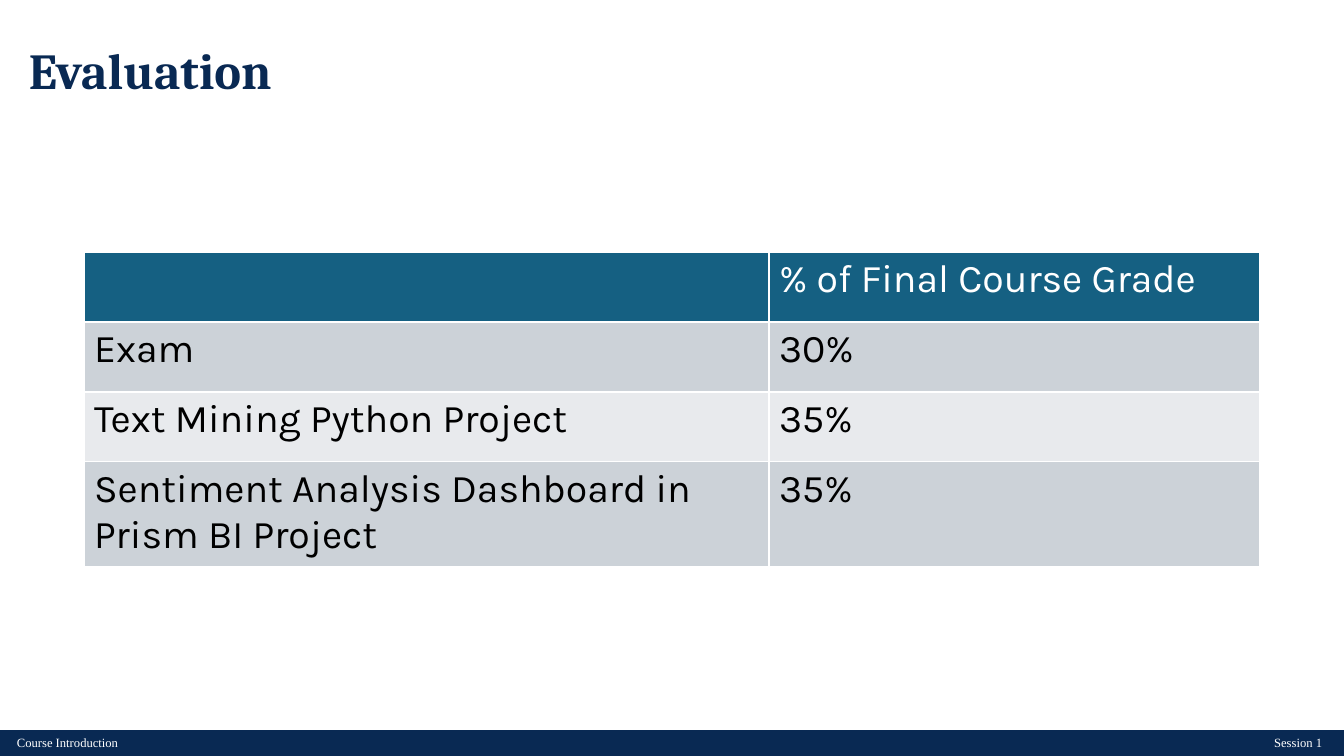
from lxml.etree import SubElement as Sub
from pptx import Presentation
from pptx.dml.color import RGBColor
from pptx.enum.shapes import MSO_SHAPE as Shape
from pptx.enum.text import MSO_ANCHOR as Anchor, PP_ALIGN as Align
from pptx.oxml.ns import qn
from pptx.util import Emu, Pt

NAVY = RGBColor(0x09, 0x29, 0x53)
TEAL = RGBColor(0x15, 0x60, 0x82)
GREY = RGBColor(0xCC, 0xD2, 0xD8)
PALE = RGBColor(0xE8, 0xEA, 0xED)
WHITE = RGBColor(0xFF, 0xFF, 0xFF)
BLACK = RGBColor(0, 0, 0)


def px(n):
    return Emu(round(n * 12192000 / 1344))


def style(para, face, size, color, bold=False):
    for run in para.runs:
        font = run.font
        font.name, font.size, font.bold = face, Pt(size), bold
        font.color.rgb = color


prs = Presentation()
prs.slide_width, prs.slide_height = px(1344), px(756)
slide = prs.slides.add_slide(prs.slide_layouts[6])
shapes = slide.shapes

title = shapes.add_textbox(px(19), px(0), px(1159), px(146)).text_frame
title.word_wrap = True
title.vertical_anchor = Anchor.MIDDLE
head = title.paragraphs[0]
head.text = "Evaluation"
head.line_spacing = 0.9
style(head, "Cambria", 36, NAVY, True)

bar = shapes.add_shape(Shape.RECTANGLE, px(0), px(731), px(1344), px(25))
bar.shadow.inherit = False
bar.fill.solid()
bar.fill.fore_color.rgb = NAVY
bar.line.color.rgb = NAVY
bar.line.width = Pt(1.5)

for text, left, align in (
    ("Course Introduction", 7, Align.LEFT),
    ("Session 1", 582, Align.RIGHT),
):
    foot = shapes.add_textbox(px(left), px(730), px(750), px(25)).text_frame
    foot.word_wrap = True
    para = foot.paragraphs[0]
    para.text = text
    para.alignment = align
    style(para, "Times New Roman", 9, WHITE)

rows = (
    ("", "% of Final Course Grade"),
    ("Exam", "30%"),
    ("Text Mining Python Project", "35%"),
    ("Sentiment Analysis Dashboard in Prism BI Project", "35%"),
)
table = shapes.add_table(4, 2, px(84), px(252), px(1176), px(280)).table
for col, width in zip(table.columns, (685, 491)):
    col.width = px(width)

for r, row in enumerate(rows):
    table.rows[r].height = px(70)
    for c, text in enumerate(row):
        cell = table.cell(r, c)
        para = cell.text_frame.paragraphs[0]
        para.text = text
        style(para, "Karla", 28, BLACK if r else WHITE)
        props = cell._tc.get_or_add_tcPr()
        for side in ("a:lnL", "a:lnR", "a:lnT", "a:lnB"):
            edge = Sub(props, qn(side), w=str(Pt(1)))
            Sub(Sub(edge, qn("a:solidFill")), qn("a:srgbClr"), val=str(WHITE))
        cell.fill.solid()
        cell.fill.fore_color.rgb = (GREY if r % 2 else PALE) if r else TEAL

prs.save("out.pptx")
